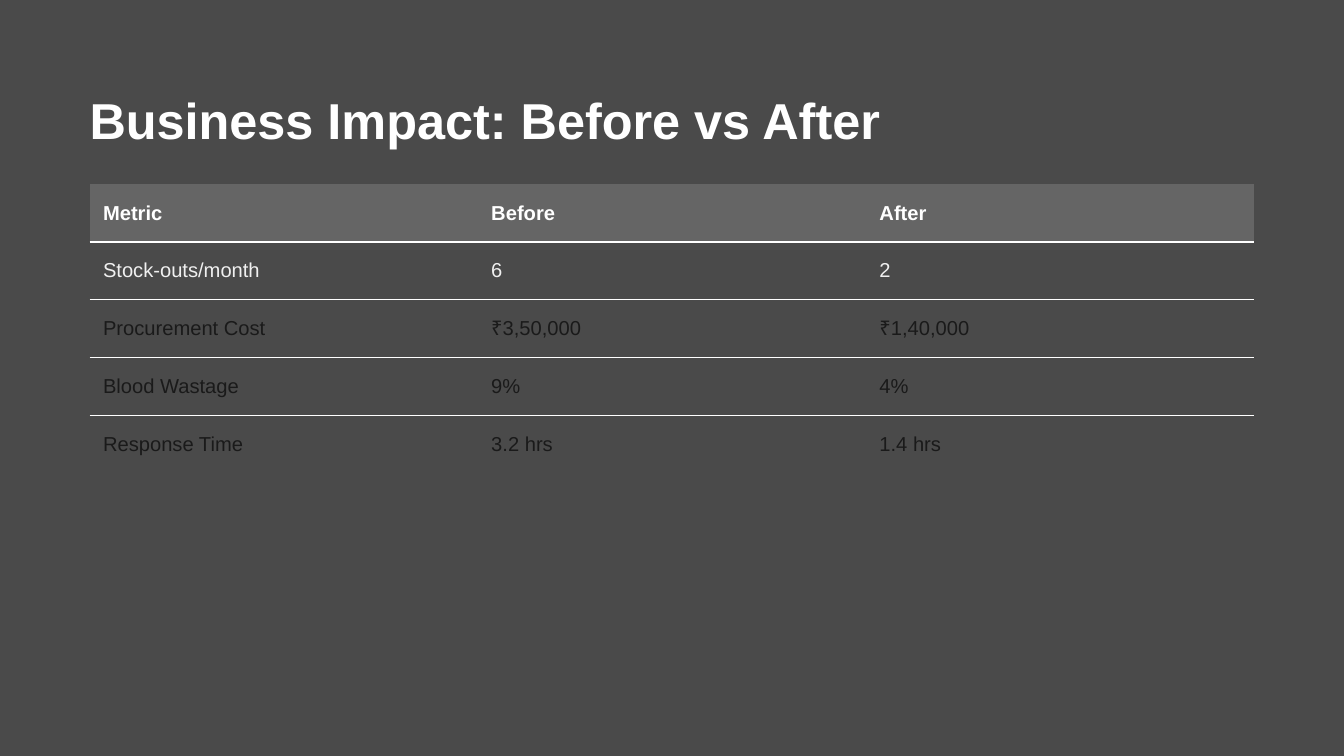
from dataclasses import dataclass

from lxml.etree import SubElement
from pptx import Presentation
from pptx.dml.color import RGBColor
from pptx.enum.text import MSO_ANCHOR
from pptx.oxml.ns import qn
from pptx.util import Inches, Pt


@dataclass(frozen=True)
class Theme:
    font: str = "Arial"
    background: str = "4A4A4A"
    header_fill: str = "656565"
    white: str = "FFFFFF"
    light: str = "F0F0F0"
    dark: str = "1A1A1A"
    title_size: float = 27
    title_leading: float = 32.4
    table_size: float = 10.8
    rule_width: float = 0.75


class SlideBuilder:
    def __init__(self, slide, theme):
        self.slide = slide
        self.theme = theme

    def background(self):
        fill = self.slide.background.fill
        fill.solid()
        fill.fore_color.rgb = RGBColor.from_string(self.theme.background)

    def format_runs(self, paragraph, size, color, bold):
        for run in paragraph.runs:
            run.font.name = self.theme.font
            run.font.size = Pt(size)
            run.font.bold = bold
            run.font.color.rgb = RGBColor.from_string(color)

    def title(self, text, left, top, width, height):
        shape = self.slide.shapes.add_textbox(
            Inches(left), Inches(top), Inches(width), Inches(height))
        text_frame = shape.text_frame
        text_frame.word_wrap = True
        text_frame.margin_left = text_frame.margin_right = 0
        text_frame.margin_top = text_frame.margin_bottom = 0
        text_frame.text = text
        paragraph = text_frame.paragraphs[0]
        paragraph.line_spacing = Pt(self.theme.title_leading)
        self.format_runs(paragraph, self.theme.title_size, self.theme.white, True)

    def borders(self, cell, ruled_sides):
        properties = cell._tc.get_or_add_tcPr()
        for side in "LRTB":
            line = SubElement(properties, qn(f"a:ln{side}"))
            if side in ruled_sides:
                line.set("w", str(Pt(self.theme.rule_width)))
                fill = SubElement(line, qn("a:solidFill"))
                SubElement(fill, qn("a:srgbClr"), val=self.theme.white)
            else:
                line.set("w", "0")
                SubElement(line, qn("a:noFill"))

    def table(self, rows, row_colors, left, top, width, row_height):
        shape = self.slide.shapes.add_table(
            len(rows), len(rows[0]), Inches(left), Inches(top),
            Inches(width), Inches(row_height * len(rows)))
        table = shape.table
        table.horz_banding = False
        last = len(rows) - 1
        for row_index, (values, color) in enumerate(zip(rows, row_colors)):
            is_header = row_index == 0
            # Rules run only between rows
            sides = ("" if is_header else "T") + ("" if row_index == last else "B")
            for column_index, value in enumerate(values):
                cell = table.cell(row_index, column_index)
                cell.vertical_anchor = MSO_ANCHOR.MIDDLE
                cell.text_frame.text = value
                self.format_runs(cell.text_frame.paragraphs[0],
                                 self.theme.table_size, color, is_header)
                self.borders(cell, sides)
                if is_header:
                    cell.fill.solid()
                    cell.fill.fore_color.rgb = RGBColor.from_string(self.theme.header_fill)
                else:
                    cell.fill.background()


def main():
    # Widescreen page, 16:9
    presentation = Presentation()
    presentation.slide_width = Inches(10)
    presentation.slide_height = Inches(10 * 9 / 16)
    slide = presentation.slides.add_slide(presentation.slide_layouts[6])
    theme = Theme()
    builder = SlideBuilder(slide, theme)
    builder.background()

    # Comparison table
    metrics = [
        ("Metric", "Before", "After"),
        ("Stock-outs/month", "6", "2"),
        ("Procurement Cost", "₹3,50,000", "₹1,40,000"),
        ("Blood Wastage", "9%", "4%"),
        ("Response Time", "3.2 hrs", "1.4 hrs"),
    ]
    row_colors = [theme.white, theme.light] + [theme.dark] * 3
    margin = 2 / 3
    builder.table(metrics, row_colors, margin, 1.37, 10 - 2 * margin, 0.43)

    # Title
    builder.title("Business Impact: Before vs After", margin, 0.66, 8.84, 0.45)

    presentation.save("out.pptx")


if __name__ == "__main__":
    main()
